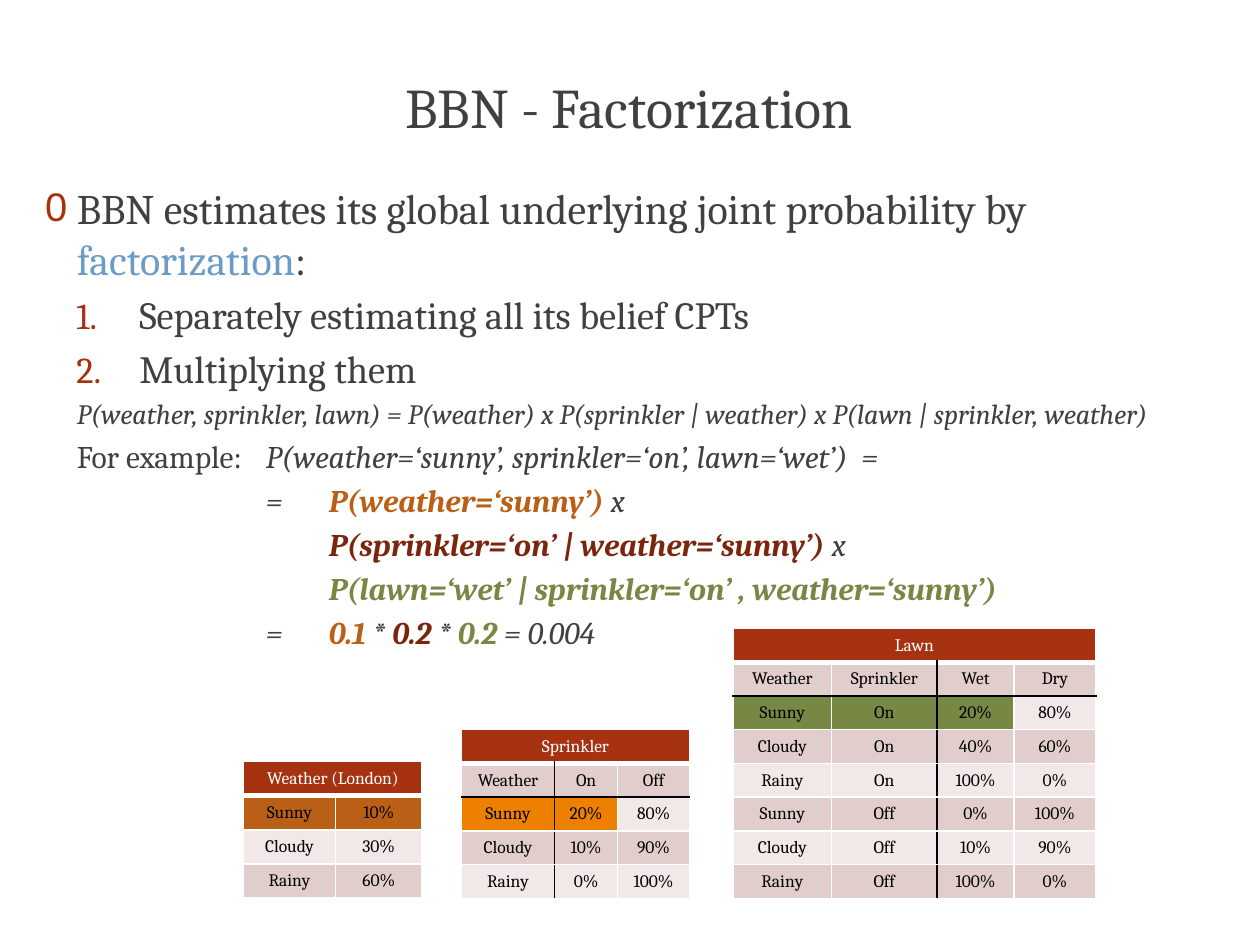
import dataclasses

import pptx
import pptx.dml.color
import pptx.enum.text
import pptx.oxml
import pptx.oxml.ns
import pptx.util

Cm = pptx.util.Cm
Pt = pptx.util.Pt


@dataclasses.dataclass(frozen=True)
class Theme:
    font: str = "Cambria"
    ink: str = "404040"
    accent: str = "A63212"
    term: str = "6B9BC7"
    weather: str = "BA6016"
    sprinkler: str = "7C250D"
    lawn: str = "768843"
    sprinkler_row: str = "ED8000"
    band_dark: str = "E1CECC"
    band_light: str = "F1E8E7"
    black: str = "000000"
    white: str = "FFFFFF"
    title_size: int = 32
    lead_size: int = 24
    step_size: int = 22
    example_size: int = 18
    formula_size: int = 16
    cell_size: int = 10


class FactorizationSlide:
    """Holds the theme and the current slide and adds each kind of element to it."""

    def __init__(self, presentation, theme):
        self.theme = theme
        self.slide = presentation.slides.add_slide(presentation.slide_layouts[5])

    def set_format(self, target, values):
        for name, value in values.items():
            setattr(target, name, value)

    def place(self, shape, box):
        self.set_format(shape, dict(zip(("left", "top", "width", "height"), map(Cm, box))))

    def add_run(self, paragraph, text, size, color=None, **values):
        run = paragraph.add_run()
        run.text = text
        self.set_format(run.font, {"name": self.theme.font, "size": Pt(size),
                                   "bold": False, "italic": False} | values)
        run.font.color.rgb = pptx.dml.color.RGBColor.from_string(color or self.theme.ink)

    def add_xml(self, parent, xml):
        opening, rest = xml.split(" ", 1)
        namespace = pptx.oxml.ns.nsdecls("a")
        parent.append(pptx.oxml.parse_xml(f"{opening} {namespace} {rest}"))

    def add_title(self, text, box):
        title = self.slide.shapes.title
        self.place(title, box)
        self.set_format(title.text_frame, {
            "word_wrap": True, "vertical_anchor": pptx.enum.text.MSO_ANCHOR.MIDDLE})
        heading = title.text_frame.paragraphs[0]
        heading.alignment = pptx.enum.text.PP_ALIGN.CENTER
        self.add_run(heading, text, self.theme.title_size)

    def add_body(self, box):
        frame = self.slide.shapes.add_textbox(*map(Cm, box)).text_frame
        frame.word_wrap = True
        return frame

    def add_line(self, frame, runs, size, margin=0.64, indent=0, level=1, bullet=None):
        first = frame.paragraphs[0]
        line = frame.add_paragraph() if first.runs else first
        self.set_format(line, {"level": level, "space_before": Pt(round(size * 0.2, 2))})
        properties = line._p.get_or_add_pPr()
        for name, length in {"marL": margin, "indent": indent, "defTabSz": 1.27}.items():
            properties.set(name, str(int(Cm(length))))
        if bullet:
            self.add_xml(properties, f'<a:buClr ><a:srgbClr val="{self.theme.accent}"/></a:buClr>')
            self.add_xml(properties, '<a:buSzPct val="95000"/>')
            for part in bullet:
                self.add_xml(properties, part)
        for text, values in runs:
            self.add_run(line, text, size, **values)

    def add_border(self, cell, side, color, width=1):
        self.add_xml(cell._tc.get_or_add_tcPr(),
                     f'<a:ln{side} w="{int(Pt(width))}"><a:solidFill>'
                     f'<a:srgbClr val="{color}"/></a:solidFill></a:ln{side}>')

    def add_cell(self, cell, text, fill, color, borders):
        for side, border in borders.items():
            self.add_border(cell, side, *border)
        cell.fill.solid()
        cell.fill.fore_color.rgb = pptx.dml.color.RGBColor.from_string(fill)
        cell.vertical_anchor = pptx.enum.text.MSO_ANCHOR.MIDDLE
        paragraph = cell.text_frame.paragraphs[0]
        paragraph.alignment = pptx.enum.text.PP_ALIGN.CENTER
        if text:
            self.add_run(paragraph, text, self.theme.cell_size, color)

    def add_belief_table(self, caption, rows, left, bottom, widths, height,
                         marked, mark_color, split=None):
        theme = self.theme
        count = len(rows) + 1
        total = count * height
        table = self.slide.shapes.add_table(
            count, len(widths), Cm(left), Cm(bottom - total),
            Cm(sum(widths)), Cm(total)).table
        for column, width in zip(table.columns, widths):
            column.width = Cm(width)
        for row in table.rows:
            row.height = Cm(height)
        table.cell(0, 0).merge(table.cell(0, len(widths) - 1))
        captions = [caption] + [""] * (len(widths) - 1)
        marked_row, marked_columns = marked
        for r, texts in enumerate([captions, *rows]):
            for c, text in enumerate(texts):
                borders = {side: (theme.white,) for side in "LRTB"}
                if r == 0:
                    borders["B"] = (theme.white, 3)
                elif split:
                    black_sides = {"R": c == split - 1, "L": c == split,
                                   "B": r == 1, "T": r == 2}
                    borders |= {side: (theme.black,) for side, on in black_sides.items() if on}
                fill = theme.band_dark if r % 2 else theme.band_light
                if r == 0:
                    fill = theme.accent
                elif r == marked_row and c < marked_columns:
                    fill = mark_color
                self.add_cell(table.cell(r, c), text, fill,
                              theme.black if r else theme.white, borders)


def main():
    theme = Theme()
    presentation = pptx.Presentation()
    presentation.slide_width, presentation.slide_height = Cm(25.4), Cm(19.05)
    slide = FactorizationSlide(presentation, theme)
    slide.add_title("BBN - Factorization", (1.52, 0.13, 22.33, 4.01))

    plain, italic = {}, {"italic": True}
    weather, sprinkler, lawn = (
        {"italic": True, "bold": True, "color": color}
        for color in (theme.weather, theme.sprinkler, theme.lawn))
    lead_bullet = ('<a:buFont typeface="Arial"/>', '<a:buChar char="0"/>')
    step_bullet = ('<a:buFont typeface="+mj-lt"/>', '<a:buAutoNum type="arabicPeriod"/>')

    body = slide.add_body((0.66, 3.56, 24.74, 13.34))
    slide.add_line(body, [("BBN estimates its global underlying joint probability by ", plain),
                          ("factorization", {"color": theme.term}), (":", plain)],
                   theme.lead_size, indent=-0.64, level=0, bullet=lead_bullet)
    for step in ("Separately estimating all its belief CPTs", "Multiplying them"):
        slide.add_line(body, [(step, plain)], theme.step_size,
                       margin=1.9, indent=-1.27, bullet=step_bullet)
    slide.add_line(body, [("P(weather, sprinkler, lawn) = P(weather) x P(sprinkler | weather)"
                           " x P(lawn | sprinkler, weather)", italic)], theme.formula_size)
    example = [
        [("For example:\t", plain),
         ("P(weather=‘sunny’, sprinkler=‘on’, lawn=‘wet’)  =", italic)],
        [("\t\t\t= \t", italic), ("P(weather=‘sunny’) ", weather), ("x", italic)],
        [("\t\t\t\t", italic), ("P(sprinkler=‘on’ | weather=‘sunny’) ", sprinkler), ("x", italic)],
        [("\t\t\t\t", italic), ("P(lawn=‘wet’ | sprinkler=‘on’ , weather=‘sunny’)", lawn)],
        [("\t\t\t=\t", italic), ("0.1", weather), (" * ", italic), ("0.2 ", sprinkler),
         ("* ", italic), ("0.2", lawn), (" = 0.004", italic)],
    ]
    for runs in example:
        slide.add_line(body, runs, theme.example_size)

    bottom = 18.11
    slide.add_belief_table(
        "Weather (London)", [("Sunny", "10%"), ("Cloudy", "30%"), ("Rainy", "60%")],
        4.91, bottom, (1.85, 1.75), 0.69, (1, 2), theme.weather)
    slide.add_belief_table(
        "Sprinkler", [("Weather", "On", "Off"), ("Sunny", "20%", "80%"),
                      ("Cloudy", "10%", "90%"), ("Rainy", "0%", "100%")],
        9.3, bottom, (1.88, 1.27, 1.45), 0.68, (2, 2), theme.sprinkler_row, split=1)
    slide.add_belief_table(
        "Lawn", [("Weather", "Sprinkler", "Wet", "Dry"), ("Sunny", "On", "20%", "80%"),
                 ("Cloudy", "On", "40%", "60%"), ("Rainy", "On", "100%", "0%"),
                 ("Sunny", "Off", "0%", "100%"), ("Cloudy", "Off", "10%", "90%"),
                 ("Rainy", "Off", "100%", "0%")],
        14.78, bottom, (1.98, 2.13, 1.55, 1.65), 0.68, (2, 3), theme.lawn, split=2)
    presentation.save("out.pptx")


if __name__ == "__main__":
    main()
